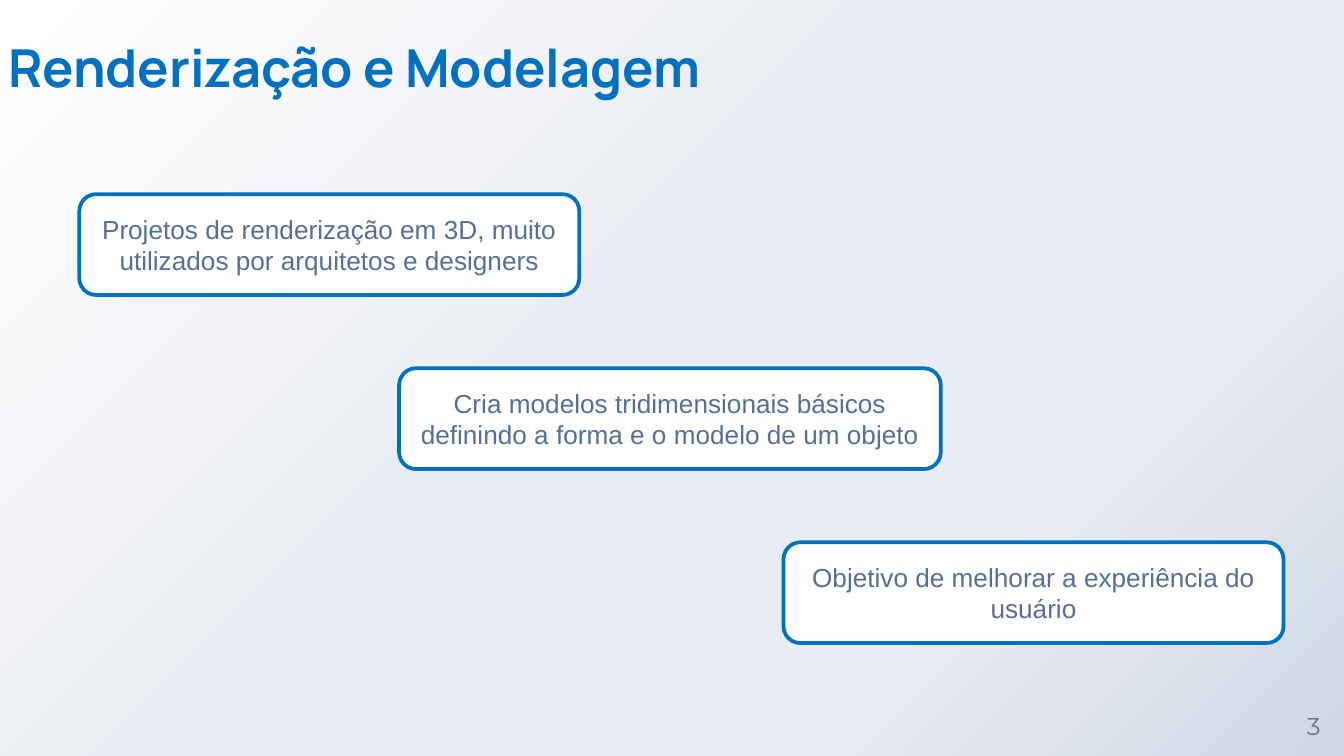
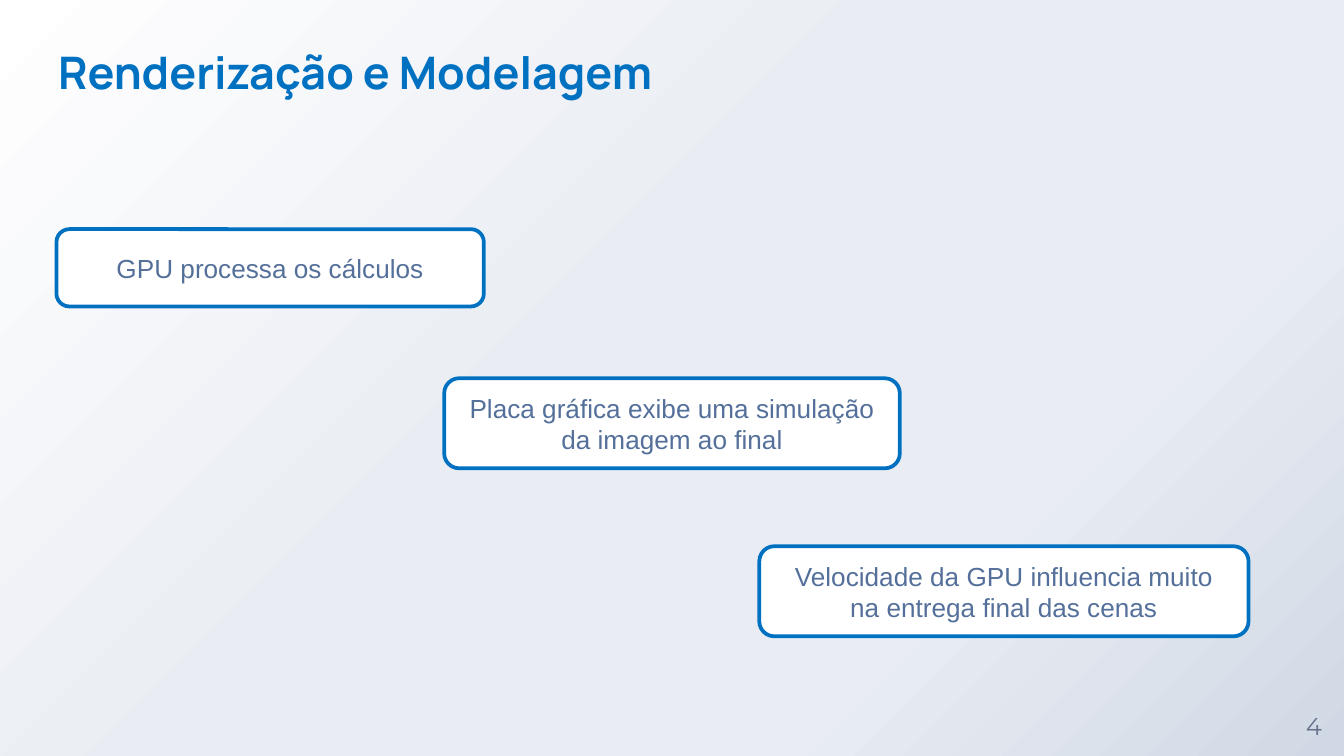
from dataclasses import dataclass

from lxml.etree import SubElement
from pptx import Presentation
from pptx.dml.color import RGBColor
from pptx.enum.shapes import MSO_SHAPE
from pptx.enum.text import MSO_ANCHOR, MSO_AUTO_SIZE, PP_ALIGN
from pptx.oxml.ns import qn
from pptx.presentation import Presentation as Deck
from pptx.shapes.autoshape import Shape
from pptx.slide import Slide
from pptx.util import Emu, Pt

PX = 4572
SLIDE_WIDTH, SLIDE_HEIGHT = 2000, 1125

WHITE = RGBColor(0xFF, 0xFF, 0xFF)
MIST = RGBColor(0xE9, 0xED, 0xF3)
HAZE = RGBColor(0xD0, 0xD8, 0xE5)
BLUE = RGBColor(0x00, 0x70, 0xC0)
SLATE = RGBColor(0x54, 0x70, 0x9A)
GREY = RGBColor(0x68, 0x72, 0x8D)

BACKGROUND_STOPS = [(0, WHITE), (44, MIST), (72, MIST), (100, HAZE)]
TITLE = "Renderização e Modelagem "


@dataclass(frozen=True)
class Box:
    left: int
    top: int
    width: int
    height: int

    def emu(self) -> tuple[Emu, Emu, Emu, Emu]:
        lengths = (self.left, self.top, self.width, self.height)
        return tuple(Emu(n * PX) for n in lengths)


@dataclass(frozen=True)
class Card:
    text: str
    box: Box


@dataclass(frozen=True)
class Page:
    number: int
    title_size: int
    cards: list[Card]


TITLE_BOX = Box(0, 0, 1070, 146)
NUMBER_BOX = Box(1910, 1035, 90, 90)

PAGES = [
    Page(3, 28, [
        Card("Projetos de renderização em 3D, muito utilizados por arquitetos e designers",
             Box(118, 289, 744, 150)),
        Card("Cria modelos tridimensionais básicos definindo a forma e o modelo de um objeto",
             Box(594, 548, 806, 150)),
        Card("Objetivo de melhorar a experiência do usuário",
             Box(1166, 807, 744, 150)),
    ]),
    Page(4, 24, [
        Card("GPU processa os cálculos", Box(84, 341, 636, 115)),
        Card("Placa gráfica exibe uma simulação da imagem ao final",
             Box(661, 563, 678, 134)),
        Card("Velocidade da GPU influencia muito na entrega final das cenas",
             Box(1130, 813, 728, 134)),
    ]),
]


def write(s: Shape, text: str, *, size: int, font: str, color: RGBColor,
          bold: bool = False, anchor: MSO_ANCHOR = MSO_ANCHOR.MIDDLE,
          inset: bool = False) -> None:
    tf = s.text_frame
    tf.word_wrap = True
    tf.auto_size = MSO_AUTO_SIZE.NONE
    tf.vertical_anchor = anchor
    if not inset:
        tf.margin_left = tf.margin_top = tf.margin_right = tf.margin_bottom = 0
    p = tf.paragraphs[0]
    p.alignment = PP_ALIGN.CENTER
    r = p.add_run()
    r.text = text
    r.font.size = Pt(size)
    r.font.name = font
    r.font.bold = bold
    r.font.color.rgb = color


def paint_background(prs: Deck) -> None:
    master = prs.slide_master
    master.background.fill.gradient()
    grad = master.element.find(f".//{qn('p:bg')}//{qn('a:gradFill')}")
    for child in list(grad):
        grad.remove(child)
    stops = SubElement(grad, qn("a:gsLst"))
    for percent, color in BACKGROUND_STOPS:
        stop = SubElement(stops, qn("a:gs"), pos=str(percent * 1000))
        SubElement(stop, qn("a:srgbClr"), val=str(color))
    circle = SubElement(grad, qn("a:path"), path="circle")
    SubElement(circle, qn("a:fillToRect"), r="100000", b="100000")


def add_title(slide: Slide, size: int) -> None:
    s = slide.shapes.title
    s.left, s.top, s.width, s.height = TITLE_BOX.emu()
    write(s, TITLE, size=size, font="Manrope", color=BLUE, bold=True,
          anchor=MSO_ANCHOR.BOTTOM)


def add_number(slide: Slide, number: int) -> None:
    s = slide.shapes.add_textbox(*NUMBER_BOX.emu())
    write(s, str(number), size=13, font="Montserrat", color=GREY)


def add_card(slide: Slide, card: Card) -> None:
    s = slide.shapes.add_shape(MSO_SHAPE.ROUNDED_RECTANGLE, *card.box.emu())
    s.shadow.inherit = False
    s.fill.solid()
    s.fill.fore_color.rgb = WHITE
    s.line.color.rgb = BLUE
    s.line.width = Pt(2)
    write(s, card.text, size=14, font="Arial", color=SLATE, inset=True)


def add_page(prs: Deck, page: Page) -> None:
    slide = prs.slides.add_slide(prs.slide_layouts.get_by_name("Title Only"))
    add_title(slide, page.title_size)
    add_number(slide, page.number)
    for card in page.cards:
        add_card(slide, card)


def main() -> None:
    prs = Presentation()
    prs.slide_width = Emu(SLIDE_WIDTH * PX)
    prs.slide_height = Emu(SLIDE_HEIGHT * PX)
    paint_background(prs)
    for page in PAGES:
        add_page(prs, page)
    prs.save("out.pptx")


if __name__ == "__main__":
    main()
